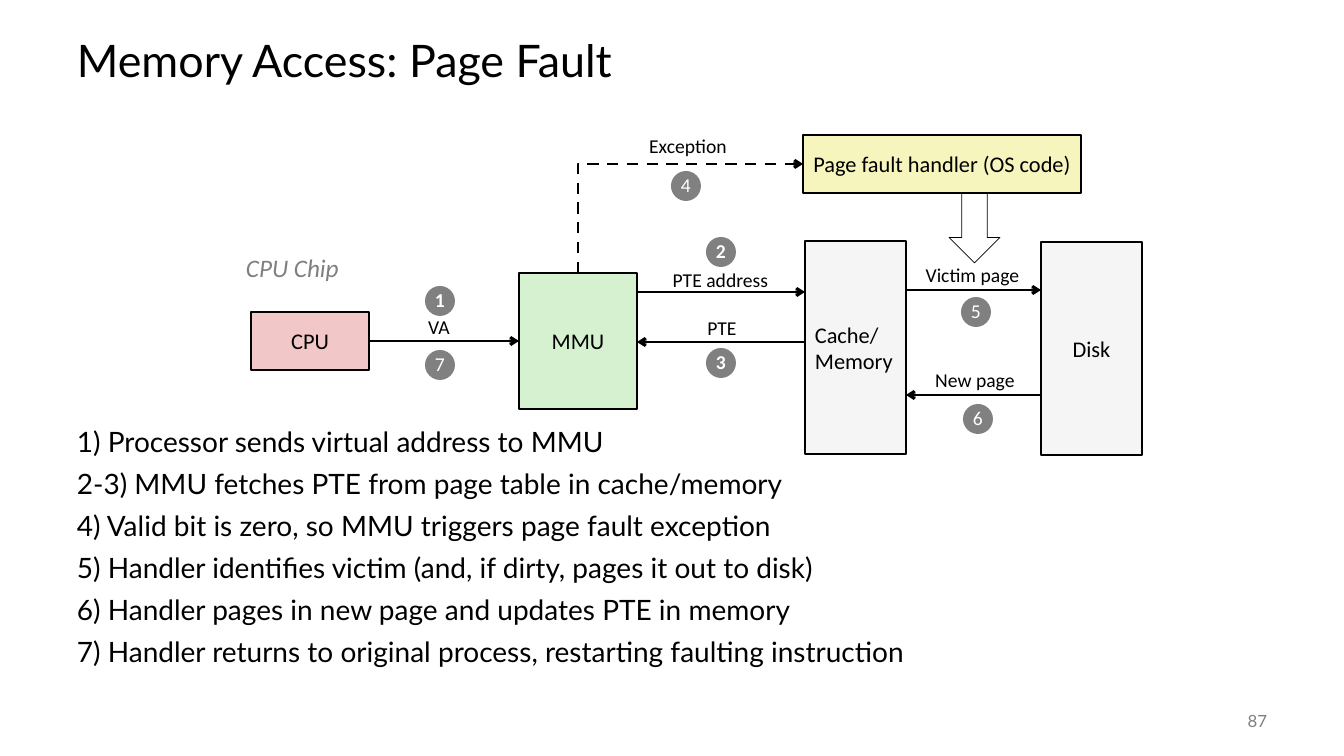
from lxml.etree import SubElement
from pptx import Presentation
from pptx.dml.color import RGBColor
from pptx.enum.dml import MSO_LINE
from pptx.enum.shapes import MSO_CONNECTOR, MSO_SHAPE
from pptx.enum.text import MSO_ANCHOR, PP_ALIGN
from pptx.oxml.ns import qn
from pptx.util import Inches, Pt

PX = int(Inches(1) / 100.8)
BLACK, GREY, WHITE = "000000", "808080", "FFFFFF"
LEFT, CENTER, RIGHT = PP_ALIGN.LEFT, PP_ALIGN.CENTER, PP_ALIGN.RIGHT
TOP, MIDDLE = MSO_ANCHOR.TOP, MSO_ANCHOR.MIDDLE


def color(value):
    return RGBColor.from_string(value)


def write(box, lines, size, ink=BLACK, anchor=MIDDLE, wrap=False, para_format=None, **font_format):
    """Fill a shape with one paragraph per line; extra keywords are font attributes."""
    frame = box.text_frame
    frame.word_wrap, frame.vertical_anchor = wrap, anchor
    for index, line in enumerate(lines):
        para = frame.paragraphs[0] if index == 0 else frame.add_paragraph()
        for name, value in (para_format or {"alignment": CENTER, "line_spacing": 0.98}).items():
            if index > 0 or name != "space_before":
                setattr(para, name, value)
        span = para.add_run()
        span.text = line
        for name, value in {"name": "Calibri", "size": Pt(size), **font_format}.items():
            setattr(span.font, name, value)
        span.font.color.rgb = color(ink)


deck = Presentation()
deck.slide_width, deck.slide_height = 1344 * PX, 756 * PX
page = deck.slides.add_slide(deck.slide_layouts[6])
shapes = page.shapes

# Title, steps and page number
steps = [
    "1) Processor sends virtual address to MMU",
    "2-3) MMU fetches PTE from page table in cache/memory",
    "4) Valid bit is zero, so MMU triggers page fault exception",
    "5) Handler identifies victim (and, if dirty, pages it out to disk)",
    "6) Handler pages in new page and updates PTE in memory",
    "7) Handler returns to original process, restarting faulting instruction",
]
step_format = {"alignment": LEFT, "line_spacing": 0.73, "space_before": Pt(12.5)}
texts = [
    ((67, 25, 1210, 76), ["Memory Access: Page Fault"], 32, BLACK, MIDDLE,
     {"alignment": LEFT, "line_spacing": 0.9}),
    ((67, 428, 1210, 252), steps, 20, BLACK, TOP, step_format),
    ((1176, 701, 101, 40), ["87"], 12, GREY, MIDDLE, {"alignment": RIGHT}),
]
for place, lines, size, ink, anchor, para_format in texts:
    box = shapes.add_textbox(*[n * PX for n in place])
    write(box, lines, size, ink, anchor, True, para_format, name="Lato")

# Hardware and handler boxes
blocks = {
    "MMU": ((519, 273, 118, 136), "D5F1CF", 1),
    "Cache/\nMemory": ((805, 241, 101, 213), "F5F5F5", 1.5),
    "CPU": ((251, 312, 118, 58), "F1C7C7", 1),
    "Disk": ((1041, 242, 101, 213), "F5F5F5", 1.5),
    "Page fault handler (OS code)": ((803, 135, 278, 58), "F6F5BD", 1),
}
made = {}
for name, (place, fill, weight) in blocks.items():
    block = shapes.add_shape(MSO_SHAPE.RECTANGLE, *[n * PX for n in place])
    block.shadow.inherit = False
    block.fill.solid()
    block.fill.fore_color.rgb = color(fill)
    block.line.color.rgb = color(BLACK)
    block.line.width = Pt(weight)
    lines = name.split("\n")
    write(block, lines, 16, para_format={"alignment": LEFT if len(lines) > 1 else CENTER})
    made[name] = block
mmu, cpu, handler = made["MMU"], made["CPU"], made["Page fault handler (OS code)"]

# Arrows: start, end, joined start, joined end
arrows = [
    ((369, 341), (519, 341), (cpu, 3), (mmu, 1)),
    ((637, 292), (805, 292), None, None),
    ((805, 342), (637, 342), None, None),
    ((906, 290), (1041, 290), None, None),
    ((1041, 395), (906, 395), None, None),
    ((578, 273), (803, 164), (mmu, 0), (handler, 1)),
]
for start, end, source, target in arrows:
    bent = start[0] != end[0] and start[1] != end[1]
    kind = MSO_CONNECTOR.ELBOW if bent else MSO_CONNECTOR.STRAIGHT
    arrow = shapes.add_connector(kind, *[n * PX for n in start + end])
    if source:
        arrow.begin_connect(*source)
        arrow.end_connect(*target)
    arrow.line.color.rgb = color(BLACK)
    arrow.line.width = Pt(2)
    properties = arrow.element.spPr
    if bent:
        # A single-corner elbow is turned by 90 degrees to leave upwards
        arrow.line.dash_style = MSO_LINE.DASH
        width, height = arrow.width, arrow.height
        arrow.left += (width - height) // 2
        arrow.top -= (width - height) // 2
        arrow.width, arrow.height = height, width
        properties.find(qn("a:prstGeom")).set("prst", "bentConnector2")
        for name, value in {"rot": "5400000", "flipH": "1", "flipV": "1"}.items():
            properties.find(qn("a:xfrm")).set(name, value)
    SubElement(properties.find(qn("a:ln")), qn("a:tailEnd"), type="arrow")
    SubElement(properties, qn("a:effectLst"))

block_arrow = shapes.add_shape(MSO_SHAPE.DOWN_ARROW, 949 * PX, 193 * PX, 51 * PX, 70 * PX)
block_arrow.shadow.inherit = False
block_arrow.fill.background()
block_arrow.line.color.rgb = color(BLACK)
block_arrow.line.width = Pt(0.5)

# Arrow labels
labels = {
    "VA": (418, 311, 42, 33),
    "PTE address": (661, 264, 119, 34),
    "PTE": (697, 312, 50, 33),
    "Victim page": (914, 259, 117, 33),
    "New page": (924, 364, 102, 33),
    "Exception": (638, 130, 100, 33),
}
for label, place in labels.items():
    write(shapes.add_textbox(*[n * PX for n in place]), [label], 14)
chip = shapes.add_textbox(236 * PX, 247 * PX, 117 * PX, 40 * PX)
write(chip, ["CPU Chip"], 18, GREY, TOP, para_format={"alignment": LEFT}, italic=True)

# Numbered step badges
badges = [(425, 286), (706, 237), (706, 348), (671, 171), (961, 297), (963, 404), (425, 350)]
for number, (left, top) in enumerate(badges, 1):
    badge = shapes.add_shape(MSO_SHAPE.OVAL, left * PX, top * PX, 30 * PX, 30 * PX)
    badge.shadow.inherit = False
    badge.fill.solid()
    badge.fill.fore_color.rgb = color(GREY)
    badge.line.fill.background()
    write(badge, [str(number)], 14, WHITE, bold=number <= 3)

deck.save("out.pptx")
